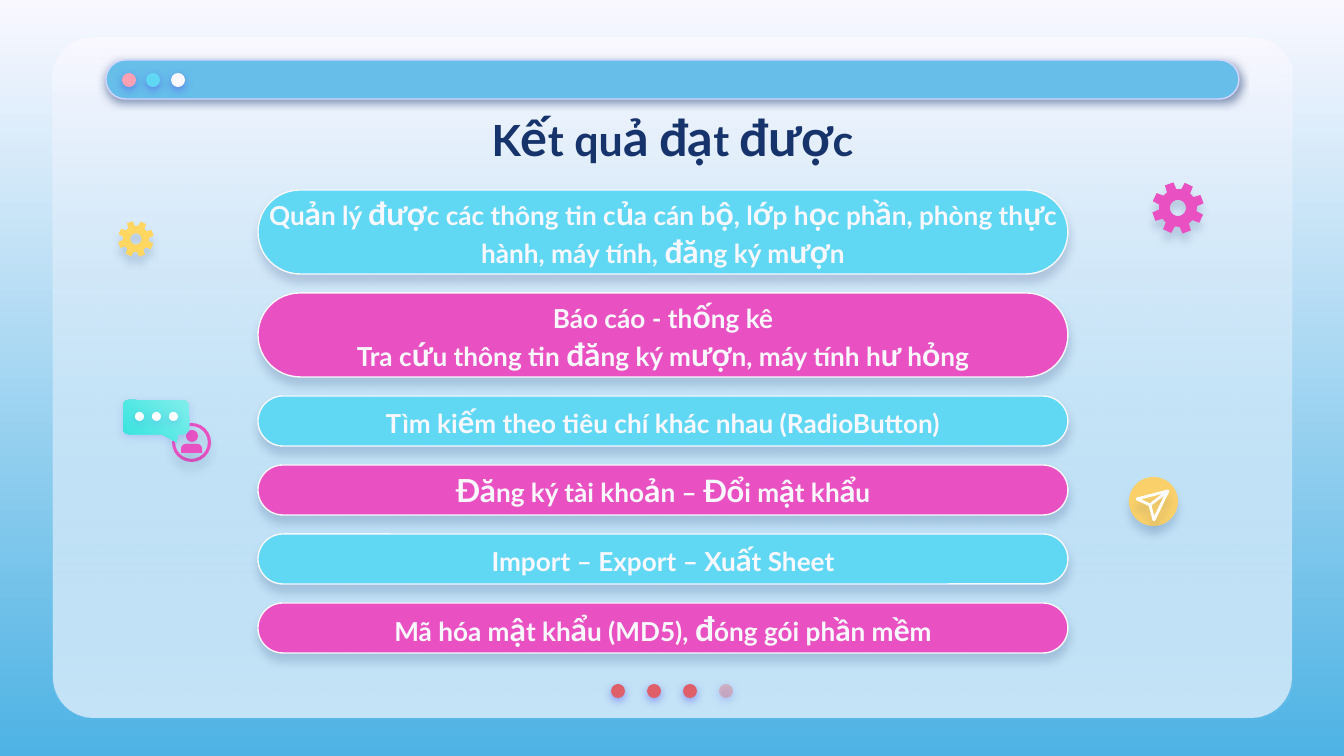
from dataclasses import dataclass
from itertools import cycle, groupby
from math import cos, radians, sin

from lxml.etree import SubElement
from pptx import Presentation
from pptx.dml.color import RGBColor
from pptx.enum.shapes import MSO_CONNECTOR, MSO_SHAPE
from pptx.enum.text import MSO_ANCHOR, PP_ALIGN
from pptx.oxml.ns import qn
from pptx.util import Pt

PX = 914400 / 134.4


@dataclass(frozen=True)
class Theme:
    font: str = "Lato"
    navy: str = "17336B"
    pale: str = "F9F8FF"
    white: str = "FFFFFF"
    sky: str = "4EB3E4"
    bar: str = "66BEE9"
    bar_line: str = "D2D6FF"
    cyan: str = "60D8F4"
    magenta: str = "E951C2"
    rose: str = "FDA0B4"
    red: str = "DF5F69"
    faded_red: str = "E27B83"
    yellow: str = "FFD65F"
    amber: str = "F9D069"
    mint: str = "81EEEB"
    teal: str = "3AE4DF"
    violet: str = "5352EE"
    title_size: int = 23
    title_accent: int = 27
    body_size: int = 14


T = Theme()
# Shadows: colour, opacity %, distance in points
DOT_SHADOW = (T.violet, 50, 1.5)
BAR_SHADOW = (T.navy, 50, 1.5)
ICON_SHADOW = (T.navy, 16, 4.5)
BUBBLE_SHADOW = (T.violet, 18, 1.5)
PILL_SHADOW = (T.navy, 18, 3.8)


def draw(kind, geometry, fill=None, shadow=None, line=None, adjust=(), alpha=100, angle=270):
    """Draw a preset in a px box, or closed px contours if kind is None.

    A pair of colours as fill makes a gradient; alpha applies to the last colour.
    """
    if kind is None:
        contours = [[(x * PX, y * PX) for x, y in points] for points in geometry]
        builder = shapes.build_freeform(*contours[0][0], scale=1.0)
        builder.add_line_segments(contours[0][1:])
        for points in contours[1:]:
            builder.move_to(*points[0])
            builder.add_line_segments(points[1:])
        sp = builder.convert_to_shape()
    else:
        sp = shapes.add_shape(kind, *[round(v * PX) for v in geometry])
    for i, value in enumerate(adjust):
        sp.adjustments[i] = value

    if fill is None:
        sp.fill.background()
    elif isinstance(fill, tuple):
        sp.fill.gradient()
        sp.fill.gradient_angle = angle
        for stop, color in zip(sp.fill.gradient_stops, fill):
            stop.color.rgb = RGBColor.from_string(color)
    else:
        sp.fill.solid()
        sp.fill.fore_color.rgb = RGBColor.from_string(fill)
    if alpha < 100:
        color = list(sp.element.spPr.iter(qn("a:srgbClr")))[-1]
        SubElement(color, qn("a:alpha"), val=str(alpha * 1000))

    if line:
        sp.line.color.rgb = RGBColor.from_string(line[0])
        sp.line.width = Pt(line[1])
    else:
        sp.line.fill.background()

    sp.shadow.inherit = False
    if shadow:
        color, opacity, distance = shadow
        effects = sp.element.spPr.find(qn("a:effectLst"))
        outer = SubElement(effects, qn("a:outerShdw"), blurRad=str(Pt(4.5)), dist=str(Pt(distance)),
                           dir="5400000", algn="bl", rotWithShape="0")
        rgb = SubElement(outer, qn("a:srgbClr"), val=color)
        SubElement(rgb, qn("a:alpha"), val=str(opacity * 1000))


def write(tf, lines, color, size, accent_sizes, inset=0):
    """Write centred bold lines, with letters beyond Latin-1 in the accent sizes in turn."""
    tf.word_wrap = True
    tf.vertical_anchor = MSO_ANCHOR.MIDDLE
    tf.margin_left = tf.margin_right = tf.margin_top = tf.margin_bottom = round(inset * PX)
    for i, line in enumerate(lines):
        p = tf.add_paragraph() if i else tf.paragraphs[0]
        p.alignment = PP_ALIGN.CENTER
        p.font.name = T.font
        p.font.bold = True
        p.font.color.rgb = RGBColor.from_string(color)
        accents = cycle(accent_sizes)
        for accented, letters in groupby(line, lambda c: 0xFF < ord(c) < 0x2000):
            r = p.add_run()
            r.text = "".join(letters)
            r.font.size = Pt(next(accents) if accented else size)


prs = Presentation()
prs.slide_width, prs.slide_height = round(1344 * PX), round(756 * PX)
slide = prs.slides.add_slide(prs.slide_layouts[5])
shapes = slide.shapes

background = slide.background.fill
background.gradient()
background.gradient_angle = 270
for stop, color in zip(background.gradient_stops, (T.pale, T.sky)):
    stop.color.rgb = RGBColor.from_string(color)

# Window panel with its bar and dots
panel = (53, 38, 1239, 680)
draw(MSO_SHAPE.ROUNDED_RECTANGLE, panel, T.pale, adjust=[0.06])
draw(MSO_SHAPE.ROUNDED_RECTANGLE, panel, (T.pale, T.bar), adjust=[0.06], alpha=35)
for i, alpha in enumerate((100, 100, 100, 44)):
    color = T.red if alpha == 100 else T.faded_red
    draw(MSO_SHAPE.OVAL, (611 + 36 * i, 684, 14, 14), color, DOT_SHADOW, alpha=alpha)
draw(MSO_SHAPE.ROUNDED_RECTANGLE, (106, 60, 1133, 39), T.bar, BAR_SHADOW, (T.bar_line, 0.75), [0.5])
for i, color in enumerate((T.rose, T.cyan, T.pale)):
    draw(MSO_SHAPE.OVAL, (122 + 49 * i // 2, 73, 14, 14), color, DOT_SHADOW)

title = shapes.title
title.left, title.top, title.width, title.height = [round(v * PX) for v in (106, 94, 1133, 85)]
write(title.text_frame, ["Kết quả đạt được"], T.navy, T.title_size, [T.title_accent], inset=13)
title.element.getparent().append(title.element)  # bring in front of the panel

# Gears: eight teeth around a round hole
for cx, cy, radius, color in ((1178, 208, 26, T.magenta), (136, 239, 18, T.yellow)):
    rim = [(45 * tooth - 110 + turn, radius * reach) for tooth in range(8)
           for turn, reach in ((-15, 0.73), (-10, 1), (10, 1), (15, 0.73))]
    hole = [(15 * step, radius * 0.31) for step in range(24)]
    contours = [[(cx + r * cos(radians(a)), cy + r * sin(radians(a))) for a, r in ring]
                for ring in (rim, hole)]
    draw(None, contours, color, ICON_SHADOW)

# Paper plane
draw(MSO_SHAPE.OVAL, (1129, 477, 49, 49), T.amber, ICON_SHADOW)
draw(None, [[(1137, 499), (1168, 491), (1154, 520), (1150, 505)]],
     shadow=ICON_SHADOW, line=(T.white, 1.5))
fold = shapes.add_connector(MSO_CONNECTOR.STRAIGHT, *[round(v * PX) for v in (1168, 491, 1150, 505)])
fold.line.color.rgb = RGBColor.from_string(T.pale)
fold.line.width = Pt(1.5)
SubElement(fold.element.spPr, qn("a:effectLst"))

# User badge and speech bubble
draw(MSO_SHAPE.DONUT, (172, 423, 39, 39), T.magenta, ICON_SHADOW, adjust=[0.08])
draw(MSO_SHAPE.OVAL, (186, 430, 12, 12), T.magenta, ICON_SHADOW)
draw(MSO_SHAPE.ROUND_2_SAME_RECTANGLE, (181, 444, 21, 9), T.magenta, ICON_SHADOW, adjust=[0.5, 0])
draw(MSO_SHAPE.ROUNDED_RECTANGULAR_CALLOUT, (123, 400, 66, 34), (T.mint, T.teal), BUBBLE_SHADOW,
     adjust=[0.31, 0.74, 0.17], angle=225)
for i in range(3):
    draw(MSO_SHAPE.OVAL, (135 + 17 * i, 412, 9, 9), T.white, BUBBLE_SHADOW)

# Results: pill height, lines, accent sizes
results = [
    (84, ["Quản lý được các thông tin của cán bộ, lớp học phần, phòng thực hành, máy tính, "
          "đăng ký mượn"], [17]),
    (84, ["Báo cáo - thống kê", "Tra cứu thông tin đăng ký mượn, máy tính hư hỏng"],
     [17, 17, 17, 16.5, 17]),
    (50, ["Tìm kiếm theo tiêu chí khác nhau (RadioButton)"], [16.5]),
    (50, ["Đăng ký tài khoản – Đổi mật khẩu"], [17, 17, 16.5, 16.5, 16.5]),
    (50, ["Import – Export – Xuất Sheet"], [16.5]),
    (50, ["Mã hóa mật khẩu (MD5), đóng gói phần mềm"], [17, 17, 18, 16, 16]),
]
top = 190
for (height, lines, accent_sizes), color in zip(results, cycle((T.cyan, T.magenta))):
    box = (258, top, 810, height)
    draw(MSO_SHAPE.ROUNDED_RECTANGLE, box, color, PILL_SHADOW, (T.pale, 0.75), [0.5])
    label = shapes.add_textbox(*[round(v * PX) for v in box])
    write(label.text_frame, lines, T.pale, T.body_size, accent_sizes)
    top += height + 19

prs.save("out.pptx")
